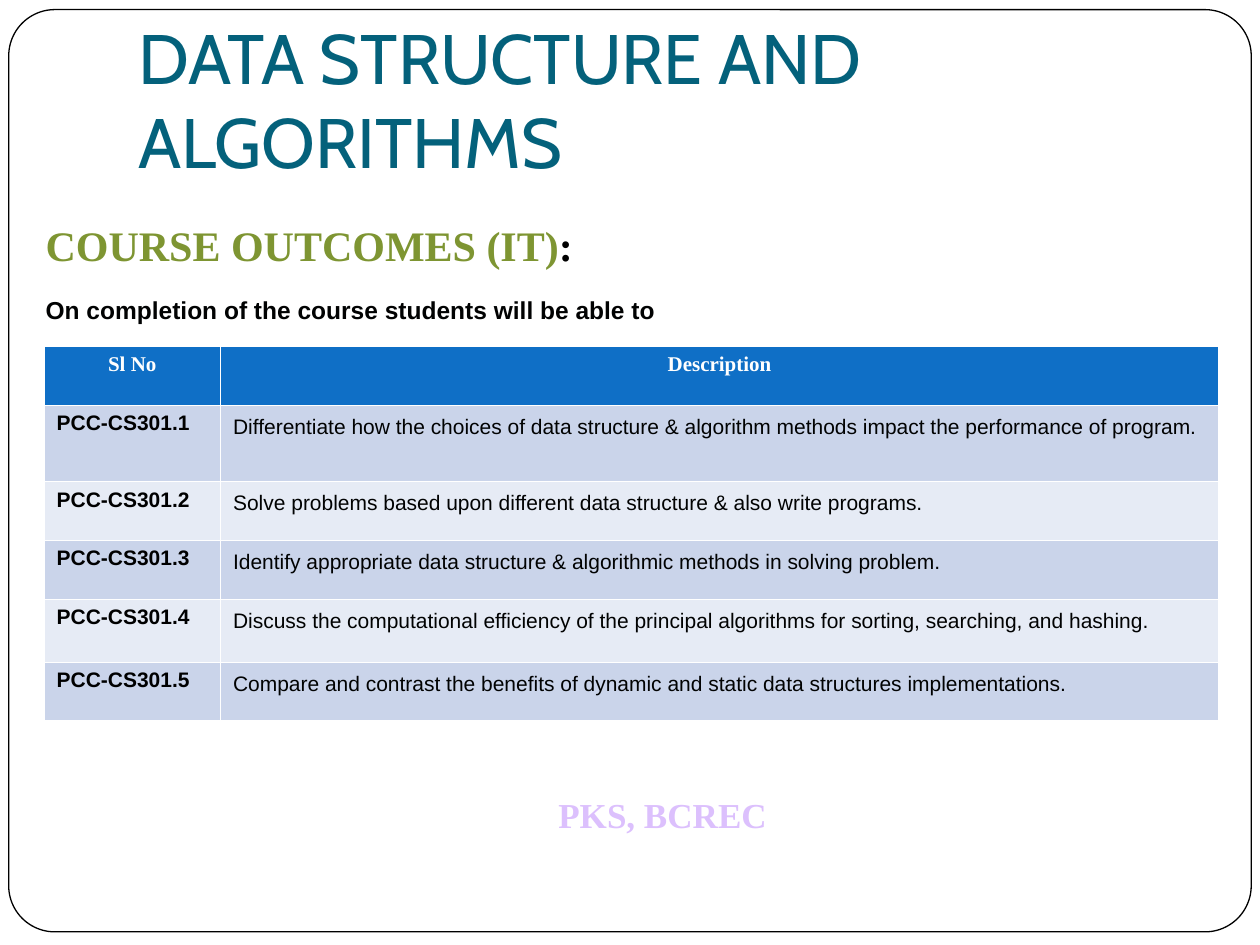
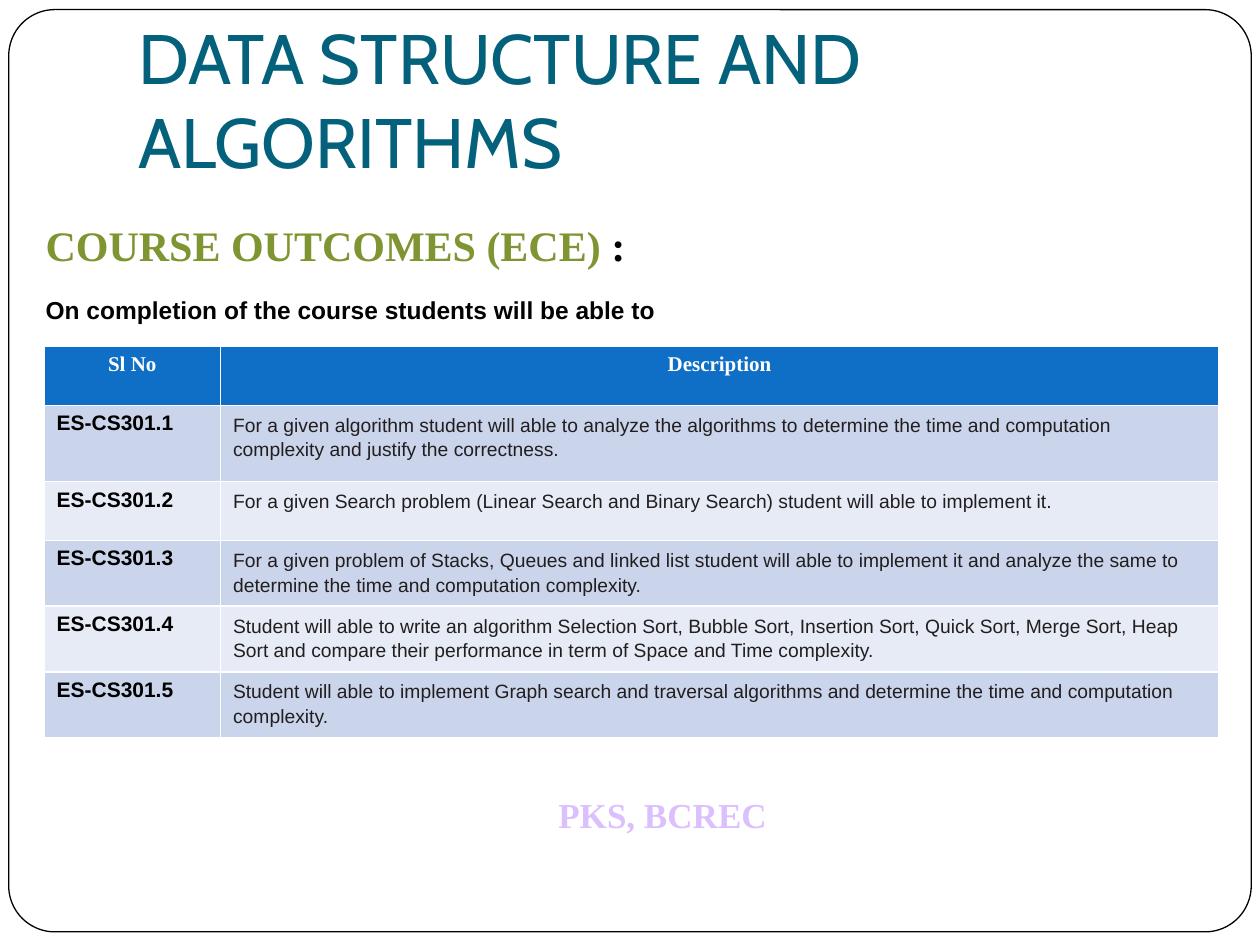
"""Build two course outcome slides for Data Structure and Algorithms."""
import dataclasses

import pptx
import pptx.dml.color
import pptx.enum.shapes
import pptx.enum.text
import pptx.util

Pt = pptx.util.Pt
rgb = pptx.dml.color.RGBColor.from_string
CENTER = pptx.enum.text.PP_ALIGN.CENTER


@dataclasses.dataclass(frozen=True)
class Theme:
    white: str = "FFFFFF"
    black: str = "000000"
    body: str = "010202"
    soft_body: str = "221E20"
    title: str = "04617B"
    heading: str = "7E9532"
    footer: str = "DCC0FD"
    header_fill: str = "0F6FC6"
    bands: tuple = ("CAD4EA", "E6EBF5")
    title_font: str = "Cabin"
    serif: str = "Times New Roman"
    sans: str = "Arial"
    title_size: int = 40
    heading_size: int = 24
    footer_size: int = 20
    intro_size: int = 14
    table_size: int = 12
    small_size: int = 11


theme = Theme()


def write(paragraph, text, *, size, color, font=theme.sans, bold=False, align=None, spaced=False):
    run = paragraph.add_run()
    run.text = text
    run.font.size = Pt(size)
    run.font.name = font
    run.font.bold = bold
    run.font.color.rgb = rgb(color)
    if align is not None:
        paragraph.alignment = align
    if spaced:
        paragraph.line_spacing = 1.15
        paragraph.space_before = paragraph.space_after = Pt(12)


def add_text_frame(slide, left, top, width, height):
    frame = slide.shapes.add_textbox(Pt(left), Pt(top), Pt(width), Pt(height)).text_frame
    frame.word_wrap = True
    return frame


courses = [
    {
        "heading": "COURSE OUTCOMES (IT)",
        "code": "PCC-CS301",
        "size": theme.table_size,
        "color": theme.body,
        "outcomes": [
            "Differentiate how the choices of data structure & algorithm methods impact the performance of program.",
            "Solve problems based upon different data structure & also write programs.",
            "Identify appropriate data structure & algorithmic methods in solving problem.",
            "Discuss the computational efficiency of the principal algorithms for sorting, searching, and hashing.",
            "Compare and contrast the benefits of dynamic and static data structures implementations.",
        ],
    },
    {
        "heading": "COURSE OUTCOMES (ECE) ",
        "code": "ES-CS301",
        "size": theme.small_size,
        "color": theme.soft_body,
        "outcomes": [
            "For a given algorithm student will able to analyze the algorithms to determine the time and "
            "computation complexity and justify the correctness.",
            "For a given Search problem (Linear Search and Binary Search) student will able to implement it.",
            "For a given problem of Stacks, Queues and linked list student will able to implement it and "
            "analyze the same to determine the time and computation complexity.",
            "Student will able to write an algorithm Selection Sort, Bubble Sort, Insertion Sort, Quick Sort, "
            "Merge Sort, Heap Sort and compare their performance in term of Space and Time complexity.",
            "Student will able to implement Graph search and traversal algorithms and determine the time and "
            "computation complexity.",
        ],
    },
]
column_widths = [100.8, 570.4]
row_heights = [33.6, 43.7, 33.6, 33.6, 36, 33.6]

deck = pptx.Presentation()
deck.slide_width, deck.slide_height = Pt(720), Pt(540)

for course in courses:
    slide = deck.slides.add_slide(deck.slide_layouts[6])

    border = slide.shapes.add_shape(
        pptx.enum.shapes.MSO_SHAPE.ROUNDED_RECTANGLE, Pt(5), Pt(5.5), Pt(710), Pt(527))
    border.adjustments[0] = 0.05
    border.shadow.inherit = False
    border.fill.solid()
    border.fill.fore_color.rgb = rgb(theme.white)
    border.line.color.rgb = rgb(theme.black)
    border.line.width = Pt(0.75)

    footer = add_text_frame(slide, 312, 450, 165.6, 31.5)
    write(footer.paragraphs[0], "PKS, BCREC", size=theme.footer_size, color=theme.footer,
          font=theme.serif, bold=True)

    title = add_text_frame(slide, 72, 21.6, 612, 90)
    title.vertical_anchor = pptx.enum.text.MSO_ANCHOR.BOTTOM
    title.margin_bottom = Pt(7.2)
    write(title.paragraphs[0], "DATA STRUCTURE AND ALGORITHMS", size=theme.title_size,
          color=theme.title, font=theme.title_font)

    intro = add_text_frame(slide, 19, 121.7, 415, 46)
    for text, color in ((course["heading"], theme.heading), (":", theme.black)):
        write(intro.paragraphs[0], text, size=theme.heading_size, color=color,
              font=theme.serif, bold=True)
    write(intro.add_paragraph(), "On completion of the course students will be able to",
          size=theme.intro_size, color=theme.body, bold=True, spaced=True)

    outcomes = slide.shapes.add_table(
        len(row_heights), len(column_widths), Pt(25.2), Pt(198),
        Pt(sum(column_widths)), Pt(sum(row_heights))).table
    for column, width in zip(outcomes.columns, column_widths):
        column.width = Pt(width)
    for index, (row, height) in enumerate(zip(outcomes.rows, row_heights)):
        row.height = Pt(height)
        for cell in row.cells:
            cell.fill.solid()
            cell.fill.fore_color.rgb = rgb(theme.bands[(index - 1) % 2] if index else theme.header_fill)

    for cell, label in zip(outcomes.rows[0].cells, ("Sl No", "Description")):
        write(cell.text_frame.paragraphs[0], label, size=theme.table_size, color=theme.white,
              font=theme.serif, bold=True, align=CENTER)
    for number, outcome in enumerate(course["outcomes"], start=1):
        write(outcomes.cell(number, 0).text_frame.paragraphs[0], f"{course['code']}.{number}",
              size=theme.table_size, color=theme.black, bold=True)
        write(outcomes.cell(number, 1).text_frame.paragraphs[0], outcome,
              size=course["size"], color=course["color"], spaced=True)

deck.save("out.pptx")
